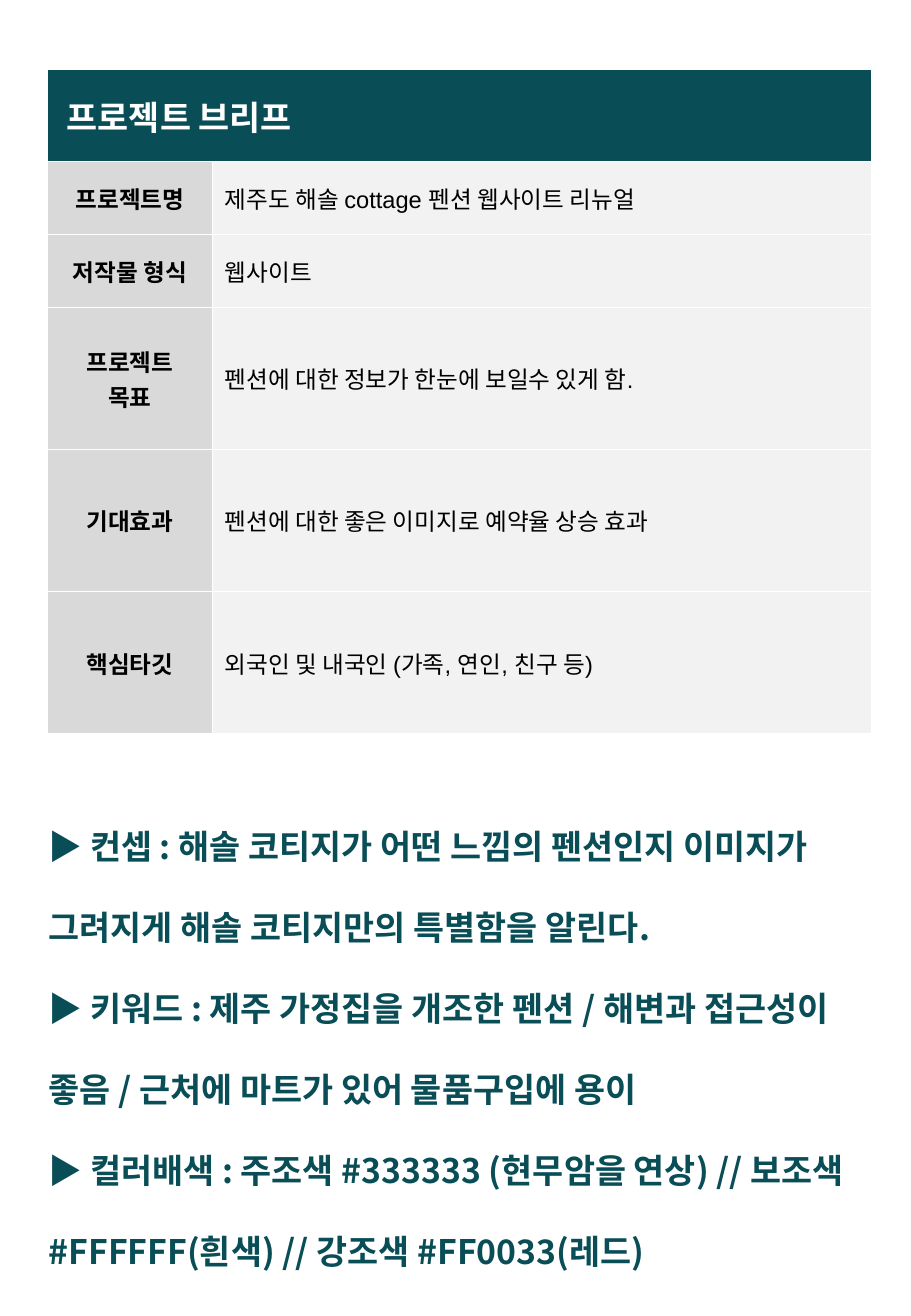
import pptx
import pptx.util
import pptx.dml.color
import pptx.enum.text
import pptx.oxml
import pptx.oxml.ns
from pptx.util import Inches

HEADER = "프로젝트 브리프"
BRIEF = [
    (["프로젝트명"], "제주도 해솔 cottage 펜션 웹사이트 리뉴얼", 0.6),
    (["저작물 형식"], "웹사이트", 0.6),
    (["프로젝트", "목표"], "펜션에 대한 정보가 한눈에 보일수 있게 함.", 1.17),
    (["기대효과"], "펜션에 대한 좋은 이미지로 예약율 상승 효과", 1.17),
    (["핵심타깃"], "외국인 및 내국인 (가족, 연인, 친구 등)", 1.17),
]
CONCEPT = [
    "▶ 컨셉 : 해솔 코티지가 어떤 느낌의 펜션인지 이미지가 그려지게 해솔 코티지만의 특별함을 알린다.",
    "▶ 키워드 : 제주 가정집을 개조한 펜션 / 해변과 접근성이 좋음 / 근처에 마트가 있어 물품구입에 용이",
    "▶ 컬러배색 : 주조색 #333333 (현무암을 연상) // 보조색 #FFFFFF(흰색) // 강조색 #FF0033(레드)",
]

TEAL = pptx.dml.color.RGBColor(0x09, 0x4D, 0x56)
LABEL_GRAY = pptx.dml.color.RGBColor(0xD9, 0xD9, 0xD9)
VALUE_GRAY = pptx.dml.color.RGBColor(0xF2, 0xF2, 0xF2)
WHITE = pptx.dml.color.RGBColor(0xFF, 0xFF, 0xFF)
BLACK = pptx.dml.color.RGBColor(0, 0, 0)
KOREAN_FONT = "Noto Sans CJK KR"
HEADER_HEIGHT = 0.76
COLUMN_WIDTHS = [1.36, 5.43]
ALIGN = pptx.enum.text.PP_ALIGN


def element(tag, content=""):
    namespace = pptx.oxml.ns.nsdecls("a")
    return pptx.oxml.parse_xml(f"<a:{tag} {namespace}{content}")


def format_paragraph(paragraph, size, color, bold, latin):
    font = paragraph.font
    font.size, font.bold, font.name = pptx.util.Pt(size), bold, latin
    font.color.rgb = color
    defaults = paragraph._p.pPr.find(pptx.oxml.ns.qn("a:defRPr"))
    defaults.append(element("ea", f' typeface="{KOREAN_FONT}"/>'))


def fill_cell(cell, lines, background, color=BLACK, size=14, bold=True, align=ALIGN.LEFT):
    cell.fill.solid()
    cell.fill.fore_color.rgb = background
    cell.vertical_anchor = pptx.enum.text.MSO_ANCHOR.MIDDLE
    cell.text = "\n".join(lines)
    for paragraph in cell.text_frame.paragraphs:
        paragraph.alignment = align
        format_paragraph(paragraph, size, color, bold, "Arial")


def add_borders(cell):
    properties = cell._tc.get_or_add_tcPr()
    for position, side in enumerate(["lnL", "lnR", "lnT", "lnB"]):
        line = f' w="12700"><a:solidFill><a:srgbClr val="{WHITE}"/></a:solidFill></a:{side}>'
        properties.insert(position, element(side, line))


def add_brief(slide):
    heights = [HEADER_HEIGHT] + [height for _, _, height in BRIEF]
    table = slide.shapes.add_table(
        len(heights), len(COLUMN_WIDTHS), Inches(0.39), Inches(0.57),
        Inches(sum(COLUMN_WIDTHS)), Inches(sum(heights))).table
    table.first_row = table.horz_banding = False
    for column, width in zip(table.columns, COLUMN_WIDTHS):
        column.width = Inches(width)
    for row, height in zip(table.rows, heights):
        row.height = Inches(height)
    header = table.cell(0, 0)
    header.merge(table.cell(0, 1))
    header.margin_left = Inches(0.16)
    fill_cell(header, [HEADER], TEAL, WHITE, 20)
    for row, (label, value, _) in enumerate(BRIEF, 1):
        fill_cell(table.cell(row, 0), label, LABEL_GRAY, align=ALIGN.CENTER)
        fill_cell(table.cell(row, 1), [value], VALUE_GRAY, bold=False)
    for cell in table.iter_cells():
        add_borders(cell)


def add_concept(body):
    body.left, body.top = Inches(0.3), Inches(6.41)
    body.width, body.height = Inches(6.86), Inches(4.14)
    frame = body.text_frame
    frame.text = "\n".join(CONCEPT)
    frame.word_wrap = True
    frame.auto_size = pptx.enum.text.MSO_AUTO_SIZE.SHAPE_TO_FIT_TEXT
    for paragraph in frame.paragraphs:
        paragraph.line_spacing = 2.0
        paragraph.space_before = pptx.util.Pt(0)
        format_paragraph(paragraph, 20, TEAL, True, KOREAN_FONT)
        properties = paragraph._p.pPr
        properties.set("marL", "0")
        properties.set("indent", "0")
        properties.find(pptx.oxml.ns.qn("a:defRPr")).addprevious(element("buNone", "/>"))


def main():
    """Build the project brief slide with its table and concept notes."""
    presentation = pptx.Presentation()
    presentation.slide_width = Inches(7.5)
    presentation.slide_height = Inches(10.83)
    slide = presentation.slides.add_slide(presentation.slide_layouts[1])
    title = slide.shapes.title
    title._element.getparent().remove(title._element)
    add_brief(slide)
    add_concept(slide.placeholders[1])
    presentation.save("out.pptx")


if __name__ == "__main__":
    main()
